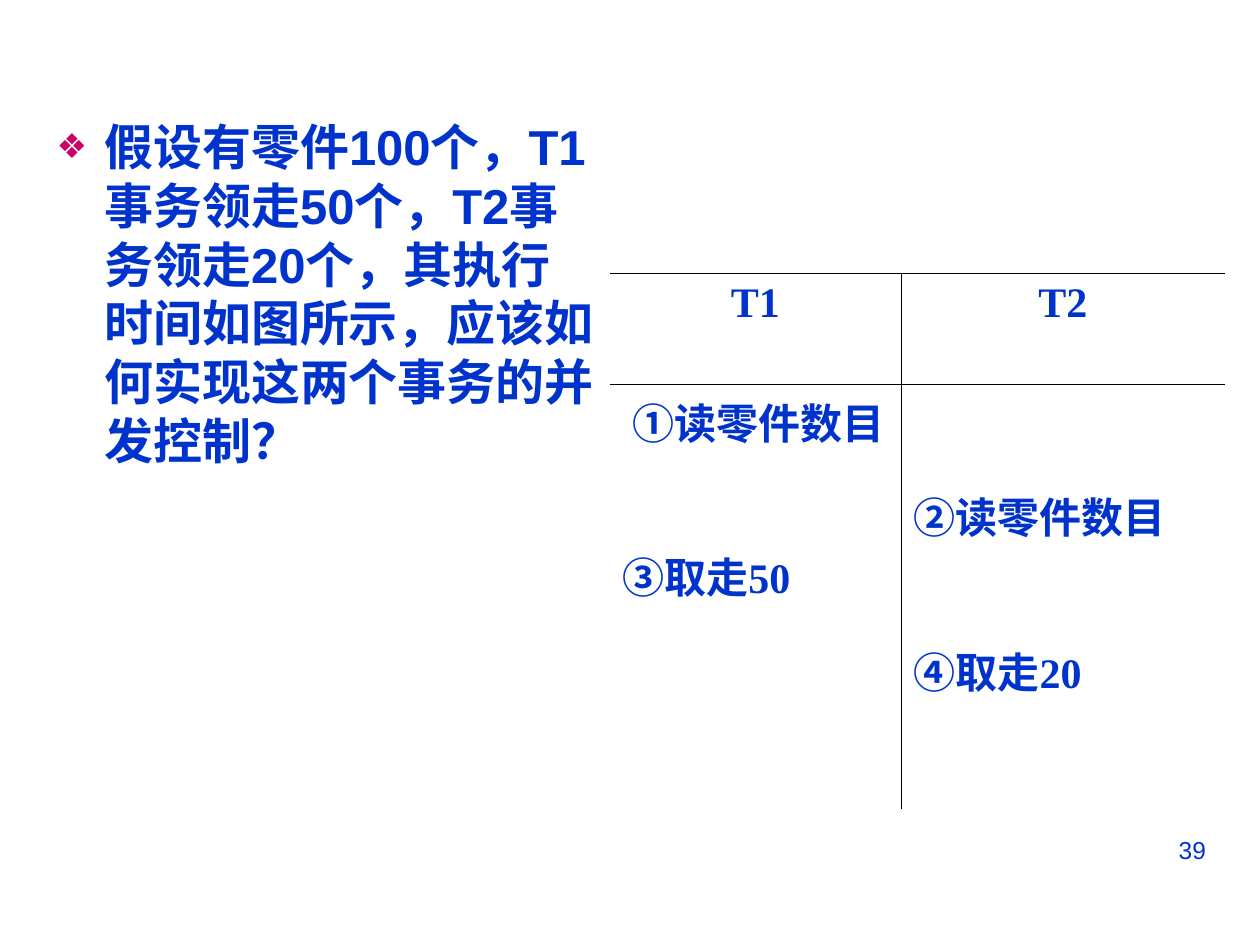
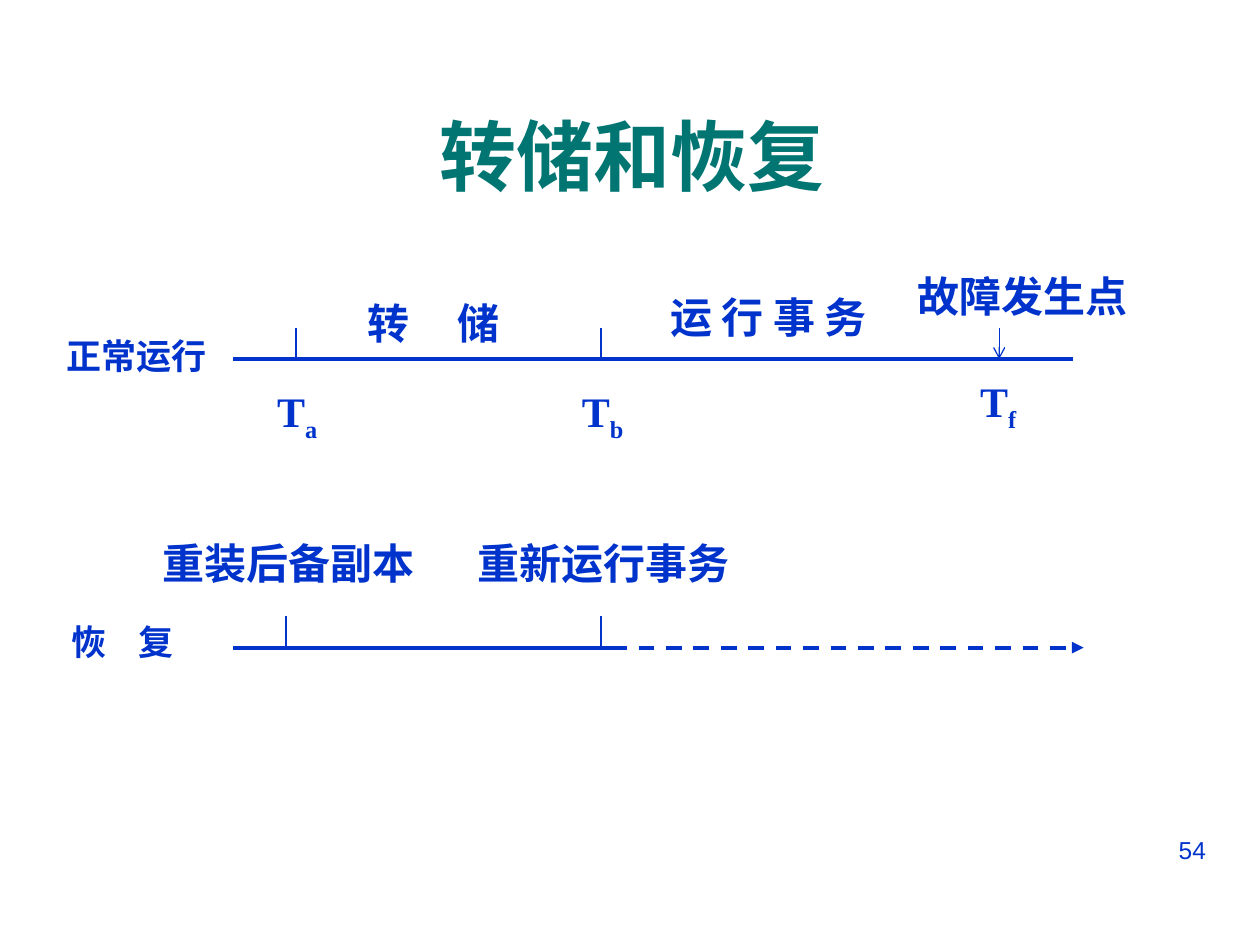
from lxml import etree
from pptx import Presentation
from pptx import util as u
from pptx.dml.color import RGBColor
from pptx.enum import dml, shapes, text
from pptx.oxml.ns import qn

BLUE = RGBColor(0x00, 0x33, 0xCC)
TEAL = RGBColor(0x00, 0x75, 0x72)
PINK = RGBColor(0xCC, 0x00, 0x66)
BLACK = RGBColor(0, 0, 0)
SANS, SERIF = "Arial", "Times New Roman"
LEFT, MID, RIGHT = text.PP_ALIGN.LEFT, text.PP_ALIGN.CENTER, text.PP_ALIGN.RIGHT
TOP, CENTRE = text.MSO_ANCHOR.TOP, text.MSO_ANCHOR.MIDDLE

# The slide is a grid of 100 columns by 75 rows of square cells
WIDE, HIGH = u.Inches(10), u.Inches(7.5)


def grid(n):
    return round(WIDE * n / 100)


def sub(node, tag, **attrs):
    return etree.SubElement(node, qn(tag), **attrs)


def add_run(para, words, size, font=SERIF, color=BLUE, bold=True, base=None):
    run = para.add_run()
    run.text = words
    face = run.font
    face.size, face.name, face.bold = u.Pt(size), font, bold
    face.color.rgb = color
    if base:
        face._element.set("baseline", str(base * 1000))


def add_box(slide, x, y, w, h, align=LEFT, anchor=TOP):
    """Add a wrapped text box and return its first paragraph."""
    box = slide.shapes.add_textbox(grid(x), grid(y), grid(w), grid(h))
    frame = box.text_frame
    frame.word_wrap = True
    frame.vertical_anchor = anchor
    para = frame.paragraphs[0]
    para.alignment = align
    return para


def add_label(slide, x, mid, w, words, size=24, low=None, tab=None):
    """Add a label centred on row mid, with a subscript or a tab stop."""
    para = add_box(slide, x, mid - 3, w, 6, anchor=CENTRE)
    if tab:
        stops = sub(para._p.get_or_add_pPr(), "a:tabLst")
        sub(stops, "a:tab", pos=str(grid(tab)), algn="l")
    add_run(para, words, size)
    if low:
        add_run(para, low, size, base=-25)


def add_line(slide, x1, y1, x2, y2, width, tip=None, dash=False):
    line = slide.shapes.add_connector(
        shapes.MSO_CONNECTOR.STRAIGHT, grid(x1), grid(y1), grid(x2), grid(y2))
    line.line.color.rgb = BLUE
    line.line.width = u.Pt(width)
    if dash:
        line.line.dash_style = dml.MSO_LINE.DASH
    if tip:
        sub(line.line._get_or_add_ln(), "a:tailEnd", type=tip)
    sub(line._element.spPr, "a:effectLst")


def add_tick(slide, x, base, tip=None):
    add_line(slide, x, base - 2.5, x, base, 0.75, tip)


def add_title(slide, words):
    para = add_box(slide, 3.5, 6, 93.4, 12.5, MID, CENTRE)
    add_run(para, words, 44, SANS, TEAL)


def add_page(slide, number):
    para = add_box(slide, 71.7, 65.8, 25, 5.2, RIGHT)
    add_run(para, str(number), 14, SANS, bold=False)


def add_bullet(slide, words):
    para = add_box(slide, 3.5, 8.8, 44.9, 38)
    para.line_spacing = u.Pt(33.5)
    prop = para._p.get_or_add_pPr()
    prop.set("marL", str(grid(3.8)))
    prop.set("indent", str(-grid(3.8)))
    sub(sub(prop, "a:buClr"), "a:srgbClr", val=str(PINK))
    sub(prop, "a:buSzPct", val="70000")
    sub(prop, "a:buFont", typeface=SANS)
    sub(prop, "a:buChar", char="❖")
    add_run(para, words, 28, SANS)


def set_edges(cell, edges):
    """Draw the named sides of a cell and clear the others."""
    prop = cell._tc.get_or_add_tcPr()
    for side in "LRTB":
        line = sub(prop, "a:ln" + side, w=str(u.Pt(0.45)))
        if side in edges:
            sub(sub(line, "a:solidFill"), "a:srgbClr", val=str(BLACK))
        else:
            sub(line, "a:noFill")
    cell.fill.background()


def add_table(slide, x, y, cols, rows):
    table = slide.shapes.add_table(
        len(rows), len(cols), grid(x), grid(y), grid(sum(cols)), grid(sum(rows))).table
    table.first_row = table.horz_banding = False
    for col, w in zip(table.columns, cols):
        col.width = grid(w)
    for row, h in zip(table.rows, rows):
        row.height = grid(h)
    return table


def fill_cell(cell, edges, lines, align=LEFT, drop=0.5):
    """Fill a cell; drop is the top margin, and steps lie two lines apart."""
    set_edges(cell, edges)
    cell.margin_top = grid(drop)
    frame = cell.text_frame
    for i, words in enumerate(lines):
        para = frame.add_paragraph() if i else frame.paragraphs[0]
        para.alignment = align
        if i:
            para.space_before = u.Pt(53.5)
        add_run(para, words, 24)


def make_parts(slide):
    add_bullet(slide, "假设有零件100个，T1事务领走50个，T2事务领走20个，"
                      "其执行时间如图所示，应该如何实现这两个事务的并发控制？")
    # Schedule of both transactions
    table = add_table(slide, 48.4, 21.7, [23.1, 25.7], [8.8, 33.7])
    fill_cell(table.cell(0, 0), "RTB", ["T1"], MID)
    fill_cell(table.cell(0, 1), "LTB", ["T2"], MID)
    first = table.cell(1, 0)
    fill_cell(first, "RT", ["①读零件数目", "③取走50"])
    first.text_frame.paragraphs[0]._p.get_or_add_pPr().set("marL", str(grid(0.8)))
    fill_cell(table.cell(1, 1), "LT", ["②读零件数目", "④取走20"], drop=8)
    add_page(slide, 39)


def make_dump(slide):
    # Normal running
    run = 28.5
    add_line(slide, 18.5, run, 85.2, run, 2.25)
    add_label(slide, 4.3, 28.2, 15, "正常运行", 20)
    for x, low, mid, tip in ((23.5, "a", 32.9, None), (47.7, "b", 32.9, None),
                             (79.3, "f", 32.1, "arrow")):
        add_tick(slide, x, run, tip)
        add_label(slide, x - 2.5, mid, 5.8, "T", low=low)
    add_label(slide, 28.2, 25.6, 16, "转\t储", tab=7.1)
    add_label(slide, 52.2, 25.1, 20, "运 行 事 务")
    add_label(slide, 71.8, 23.5, 19.2, "故障发生点")

    # Recovery
    back = 51.4
    add_line(slide, 18.5, back, 48.5, back, 2.25)
    add_line(slide, 48.5, back, 86, back, 2.25, "triangle", dash=True)
    for x, left, words in ((22.7, 11.9, "重装后备副本"), (47.7, 36.9, "重新运行事务")):
        add_tick(slide, x, back)
        add_label(slide, left, 44.7, 22.5, words)
    add_label(slide, 4.7, 50.9, 13, "恢\t复", 20, tab=5.3)

    add_title(slide, "转储和恢复")
    add_page(slide, 54)


def main():
    deck = Presentation()
    deck.slide_width, deck.slide_height = WIDE, HIGH
    for make in (make_parts, make_dump):
        make(deck.slides.add_slide(deck.slide_layouts[6]))
    deck.save("out.pptx")


if __name__ == "__main__":
    main()
